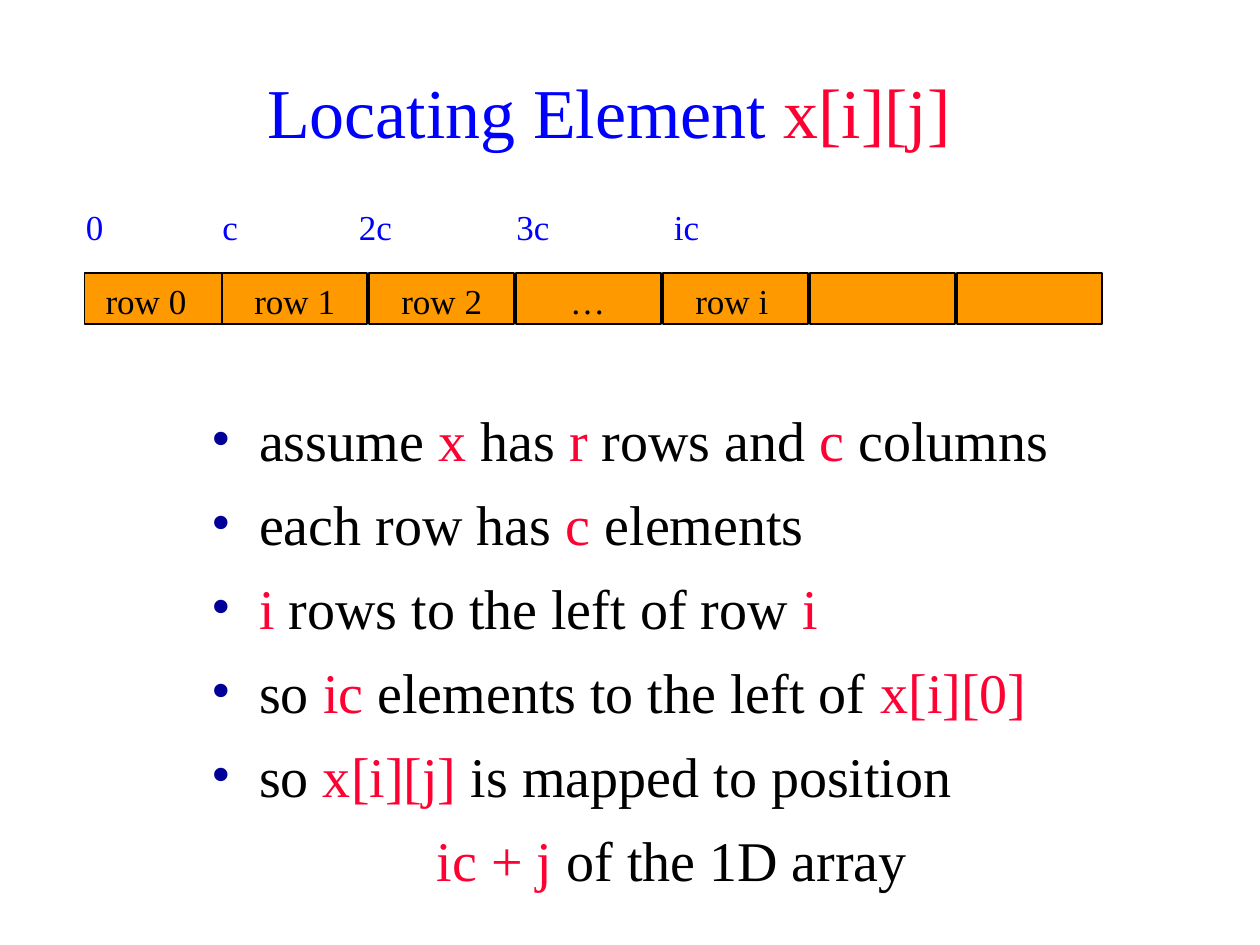
from lxml.etree import SubElement
from pptx import Presentation
from pptx.dml.color import RGBColor
from pptx.enum.shapes import MSO_SHAPE
from pptx.enum.text import MSO_ANCHOR, PP_ALIGN
from pptx.oxml.ns import qn
from pptx.util import Pt

FONT = "Times New Roman"
BLACK, BLUE, RED = "000000", "0000FF", "FF0033"
ORANGE, NAVY = "FF9900", "000099"

# Every second piece between bars is highlighted in red.
TITLE = "Locating Element| x[i][j]"
POINTS = [
    "assume |x| has |r |rows and |c |columns",
    "each row has |c| elements",
    "|i |rows to the left of row |i",
    "so |ic |elements to the left of |x[i][0]",
    "so| x[i][j] |is mapped to position",
]
CONCLUSION = "|ic + j| of the 1D array"

# Label and its distance from the left edge of the cell
ROWS = [("row 0", 5), ("row 1", 11.5), ("row 2", 11.5), ("…", 24),
        ("row i", 11.5), ("", 0), ("", 0)]
# Label, left, width
OFFSETS = [("0", 42, 24), ("c", 120, 24), ("2c", 198, 48),
           ("3c", 288, 42), ("ic", 378, 54)]

FIRST_LEFT, SECOND_LEFT, CELL_STEP = 48.25, 126.75, 84
CELL_TOP, CELL_WIDTH, CELL_HEIGHT = 156, 83, 29


def rgb(value):
    return RGBColor.from_string(value)


def set_indent(paragraph, margin, hanging, bullet=None):
    properties = paragraph._p.get_or_add_pPr()
    properties.set("marL", str(Pt(margin)))
    properties.set("indent", str(Pt(-hanging)))
    if bullet:
        color = SubElement(properties, qn("a:buClr"))
        SubElement(color, qn("a:srgbClr"), val=NAVY)
        SubElement(properties, qn("a:buFont"), typeface=FONT)
        SubElement(properties, qn("a:buChar"), char=bullet)


def write(paragraph, text, size=20, color=BLACK, align=PP_ALIGN.LEFT, before=0):
    paragraph.alignment = align
    paragraph.space_before = Pt(before)
    for index, piece in enumerate(text.split("|")):
        if piece:
            run = paragraph.add_run()
            run.text = piece
            run.font.name = FONT
            run.font.size = Pt(size)
            run.font.color.rgb = rgb(RED if index % 2 else color)


def add_box(slide, left, top, width, height, anchor=MSO_ANCHOR.TOP):
    frame = slide.shapes.add_textbox(
        Pt(left), Pt(top), Pt(width), Pt(height)).text_frame
    frame.word_wrap = True
    frame.vertical_anchor = anchor
    return frame


def add_cell(slide, left):
    cell = slide.shapes.add_shape(
        MSO_SHAPE.RECTANGLE, Pt(left), Pt(CELL_TOP), Pt(CELL_WIDTH), Pt(CELL_HEIGHT))
    cell.shadow.inherit = False
    cell.fill.solid()
    cell.fill.fore_color.rgb = rgb(ORANGE)
    cell.line.color.rgb = rgb(BLACK)
    cell.line.width = Pt(1)


def main():
    deck = Presentation()
    deck.slide_width, deck.slide_height = Pt(720), Pt(540)
    slide = deck.slides.add_slide(deck.slide_layouts[6])

    title = add_box(slide, 42, 18, 612, 90, MSO_ANCHOR.MIDDLE)
    write(title.paragraphs[0], TITLE, size=40, color=BLUE, align=PP_ALIGN.CENTER)

    body = add_box(slide, 114, 228, 504, 138)
    for index, point in enumerate(POINTS):
        paragraph = body.add_paragraph() if index else body.paragraphs[0]
        set_indent(paragraph, 27, 27, bullet="•")
        write(paragraph, point, size=32, before=9.6 if index else 0)
    conclusion = body.add_paragraph()
    set_indent(conclusion, 58.5, 22.5)
    write(conclusion, CONCLUSION, size=32, align=PP_ALIGN.CENTER, before=9.6)

    for index, (label, inset) in enumerate(ROWS):
        left = SECOND_LEFT + (index - 1) * CELL_STEP if index else FIRST_LEFT
        add_cell(slide, left)
        if label:
            write(add_box(slide, left + inset, CELL_TOP, 78, 31).paragraphs[0], label)

    for label, left, width in OFFSETS:
        write(add_box(slide, left, 114, width, 31.5).paragraphs[0], label, color=BLUE)

    deck.save("out.pptx")


if __name__ == "__main__":
    main()
